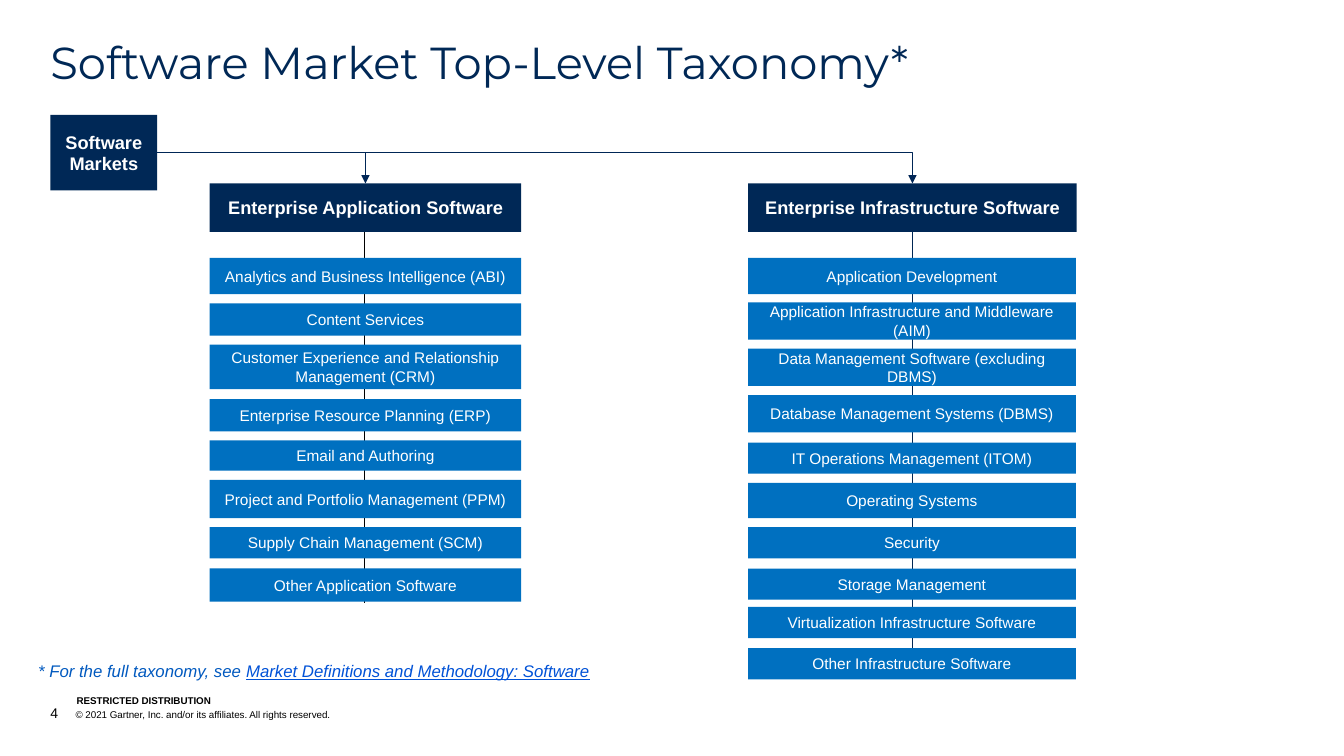
from lxml.etree import SubElement
from pptx import Presentation
from pptx.dml.color import RGBColor
from pptx.enum.shapes import MSO_CONNECTOR, MSO_SHAPE
from pptx.enum.text import MSO_ANCHOR, MSO_AUTO_SIZE, PP_ALIGN
from pptx.oxml.ns import qn
from pptx.util import Pt

PX = 9144
NAVY, BLUE, WHITE, BLACK = "002856", "0070C0", "FFFFFF", "000000"
TITLE = "Software Market Top-Level Taxonomy*"
ROOT = ("Software Markets", (50, 114, 106, 75))
HEADER_TOP, HEADER_HEIGHT = 182, 48
BRANCHES = [
    {
        "header": "Enterprise Application Software",
        "left": 208, "header_width": 309, "width": 309,
        "spine": BLACK, "spine_end": 598,
        "markets": [
            ("Analytics and Business Intelligence (ABI)", 256, 36),
            ("Content Services", 301, 32),
            ("Customer Experience and Relationship Management (CRM)", 342, 44),
            ("Enterprise Resource Planning (ERP)", 396, 32),
            ("Email and Authoring", 437, 30),
            ("Project and Portfolio Management (PPM)", 476, 38),
            ("Supply Chain Management (SCM)", 523, 31),
            ("Other Application Software", 564, 33),
        ],
    },
    {
        "header": "Enterprise Infrastructure Software",
        "left": 742, "header_width": 326, "width": 325,
        "spine": "002754", "spine_end": 651,
        "markets": [
            ("Application Development", 256, 36),
            ("Application Infrastructure and Middleware (AIM)", 300, 37),
            ("Data Management Software (excluding DBMS)", 346, 37),
            ("Database Management Systems (DBMS)", 392, 37),
            ("IT Operations Management (ITOM)", 439, 31),
            ("Operating Systems", 479, 35),
            ("Security", 523, 31),
            ("Storage Management", 564, 31),
            ("Virtualization Infrastructure Software", 602, 31),
            ("Other Infrastructure Software", 643, 31),
        ],
    },
]
NOTE = [
    ("* For the full taxonomy, see ", {"color": "0059BF"}),
    ("Market Definitions and Methodology: Software", {"color": "0052D7", "underline": True}),
]
COPYRIGHT = "\t© 2021 Gartner, Inc. and/or its affiliates. All rights reserved."


def rgb(value):
    """Turn a hex string into a colour."""
    return RGBColor.from_string(value)


def emu(lengths):
    """Scale px lengths to EMU."""
    return [length * PX for length in lengths]


def write(paragraph, text, size=11, color=WHITE, font="Arial", bold=False, italic=False, underline=False):
    """Add a formatted run to a paragraph."""
    run = paragraph.add_run()
    run.text = text
    run.font.name, run.font.size = font, Pt(size)
    run.font.bold, run.font.italic, run.font.underline = bold, italic, underline
    run.font.color.rgb = rgb(color)


def set_frame(frame, anchor, inset_x=0, inset_y=0):
    """Set wrapping, anchor and insets, and return the first paragraph."""
    frame.word_wrap, frame.auto_size = True, MSO_AUTO_SIZE.NONE
    frame.vertical_anchor = anchor
    frame.margin_left = frame.margin_right = inset_x * PX
    frame.margin_top = frame.margin_bottom = inset_y * PX
    return frame.paragraphs[0]


def add_box(slide, text, bounds, fill, **style):
    """Draw a filled box with centred text."""
    box = slide.shapes.add_shape(MSO_SHAPE.RECTANGLE, *emu(bounds))
    box.shadow.inherit = False
    box.fill.solid()
    box.fill.fore_color.rgb = rgb(fill)
    box.line.fill.background()
    paragraph = set_frame(box.text_frame, MSO_ANCHOR.MIDDLE, 10, 5)
    paragraph.alignment = PP_ALIGN.CENTER
    write(paragraph, text, **style)
    return box


def add_label(slide, bounds, anchor, inset_x=0, inset_y=0):
    """Add an empty text box and return its paragraph."""
    label = slide.shapes.add_textbox(*emu(bounds))
    return set_frame(label.text_frame, anchor, inset_x, inset_y)


def add_line(slide, kind, ends, color):
    """Draw a thin connector without a shadow."""
    line = slide.shapes.add_connector(kind, *emu(ends))
    line.line.color.rgb, line.line.width = rgb(color), Pt(0.75)
    SubElement(line._element.spPr, qn("a:effectLst"))
    return line


def add_arrow(slide, root, header):
    """Join the root to a branch header with a one-bend arrow."""
    arrow = add_line(slide, MSO_CONNECTOR.ELBOW, (0, 0, 1, 1), "002656")
    arrow.begin_connect(root, 3)
    arrow.end_connect(header, 0)
    arrow._element.spPr.find(qn("a:prstGeom")).set("prst", "bentConnector2")
    SubElement(arrow.line._get_or_add_ln(), qn("a:tailEnd"), type="triangle")


def add_branch(slide, branch):
    """Draw a spine, its header and its markets, and return the header."""
    left, width = branch["left"], branch["header_width"]
    center = left + width // 2
    add_line(slide, MSO_CONNECTOR.STRAIGHT,
             (center, HEADER_TOP + HEADER_HEIGHT, center, branch["spine_end"]), branch["spine"])
    header = add_box(slide, branch["header"], (left, HEADER_TOP, width, HEADER_HEIGHT),
                     NAVY, size=13, bold=True)
    for market, top, height in branch["markets"]:
        add_box(slide, market, (left, top, branch["width"], height), BLUE)
    return header


def main():
    """Build and save the taxonomy slide."""
    deck = Presentation()
    deck.slide_width, deck.slide_height = emu((1333, 750))
    slide = deck.slides.add_slide(deck.slide_layouts[5])

    title = slide.shapes.title
    title.left, title.top, title.width, title.height = emu((50, 40, 1233, 48))
    heading = set_frame(title.text_frame, MSO_ANCHOR.TOP)
    heading.alignment, heading.line_spacing = PP_ALIGN.LEFT, 0.9
    write(heading, TITLE, size=32, color=NAVY, font="Montserrat")

    headers = [add_branch(slide, branch) for branch in BRANCHES]
    root = add_box(slide, *ROOT, NAVY, size=13, bold=True)
    for header in headers:
        add_arrow(slide, root, header)

    note = add_label(slide, (28, 651, 696, 30), MSO_ANCHOR.TOP, 10, 5)
    for text, style in NOTE:
        write(note, text, size=12, italic=True, **style)

    footer = add_label(slide, (50, 699, 799, 17), MSO_ANCHOR.BOTTOM)
    indent = footer._p.get_or_add_pPr()
    indent.set("marL", str(25 * PX))
    indent.set("indent", str(-25 * PX))
    write(footer, "4", size=10, color=BLACK)
    write(footer, COPYRIGHT, size=7, color=BLACK)
    restriction = add_label(slide, (76, 689, 253, 12), MSO_ANCHOR.BOTTOM)
    write(restriction, "RESTRICTED DISTRIBUTION", size=7, color=BLACK, bold=True)

    deck.save("out.pptx")


if __name__ == "__main__":
    main()
